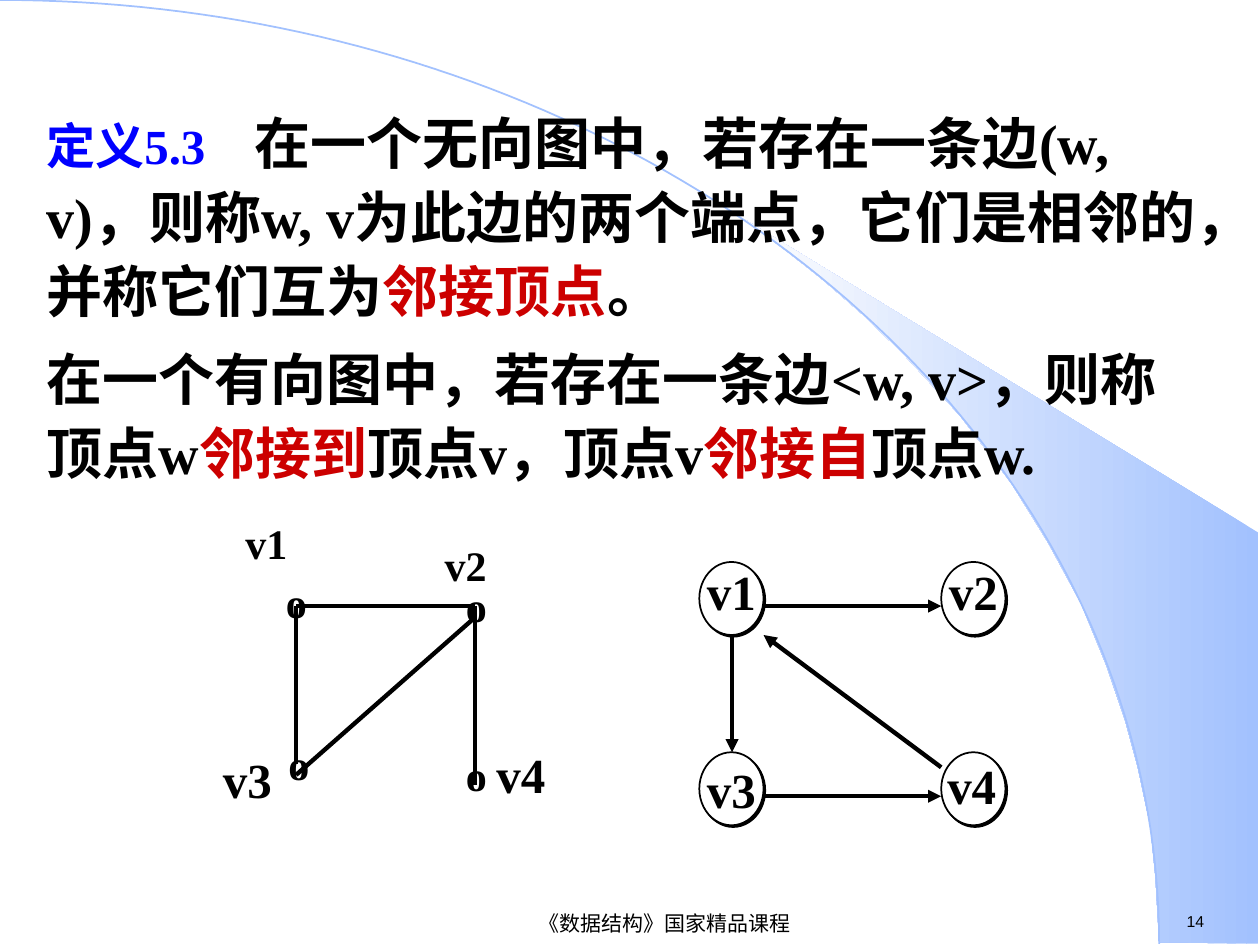
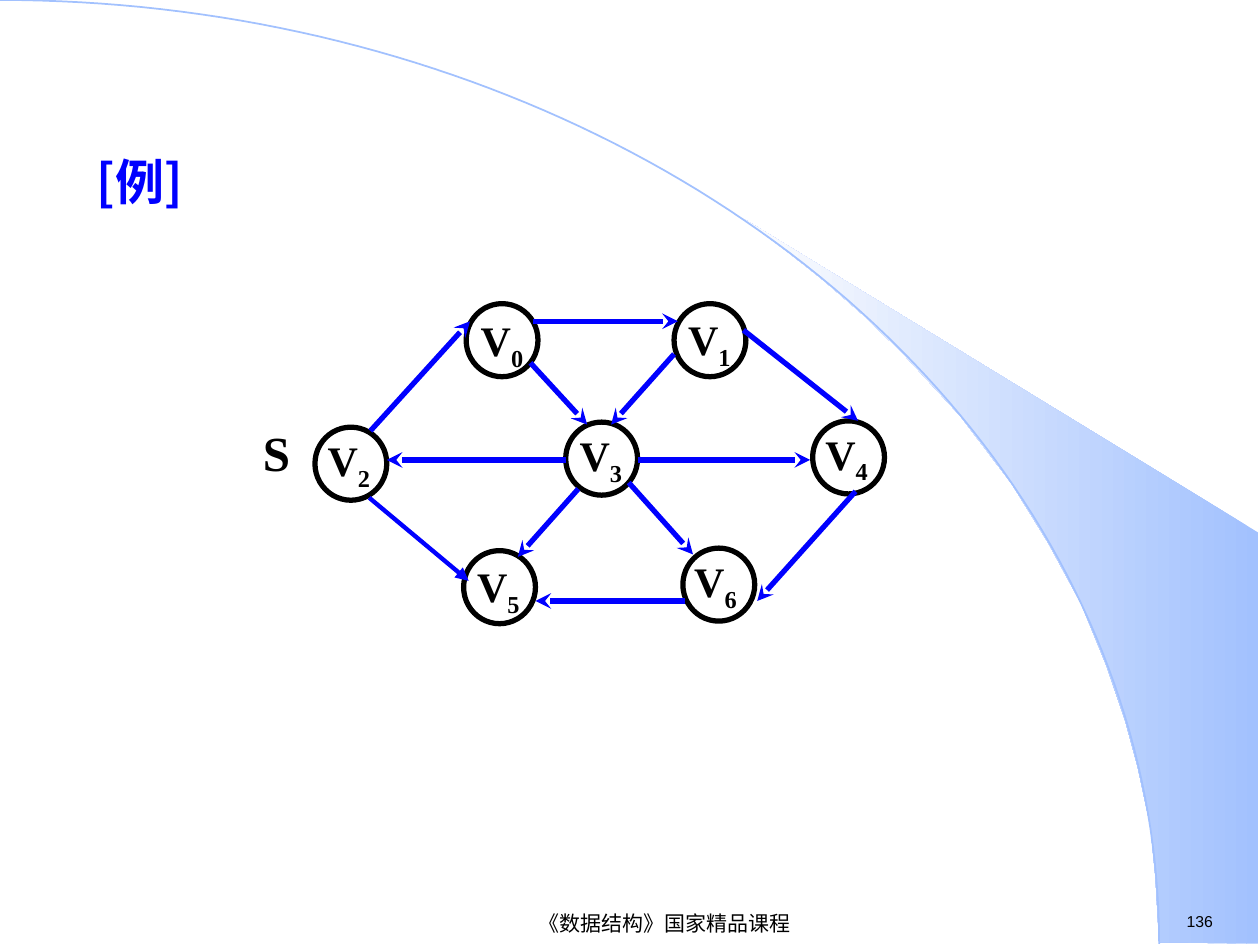
from dataclasses import dataclass
from math import cos, pi, sin

from lxml import etree
from pptx import Presentation
from pptx.dml.color import RGBColor
from pptx.enum.shapes import MSO_CONNECTOR, MSO_SHAPE
from pptx.enum.text import MSO_ANCHOR, PP_ALIGN
from pptx.oxml.ns import qn
from pptx.util import Inches, Pt

OVAL = MSO_SHAPE.OVAL
LINE = MSO_CONNECTOR.STRAIGHT
LEFT, MID, JUST = PP_ALIGN.LEFT, PP_ALIGN.CENTER, PP_ALIGN.JUSTIFY
TOP, CENTER = MSO_ANCHOR.TOP, MSO_ANCHOR.MIDDLE

COLORS = {"black": "000000", "white": "FFFFFF", "blue": "0000FF",
          "red": "CC0000", "sky": "A2C1FE", "pale": "FEFEFE"}
ROMAN, SANS, HAN = "Times New Roman", "Arial", "Noto Sans CJK SC"
PAD = (0.1, 0.05, 0.1, 0.05)
FLAT = (0, 0, 0, 0)
WIDE, HIGH = 10, 7.5
RIM = (9.2, 7.49)  # radii of the background curve
WEDGE = [(9.2, 7.48), (9.99, 7.49), (9.99, 4.23), (5.89, 1.73), (6.24, 1.99),
         (6.53, 2.22), (6.85, 2.5), (7.16, 2.8), (7.62, 3.3), (8.03, 3.84),
         (8.32, 4.31), (8.58, 4.79), (8.78, 5.28), (8.93, 5.72), (9.03, 6.09),
         (9.13, 6.56), (9.17, 6.96)]


@dataclass
class Run:
    text: str
    size: float = 28
    color: str = "black"
    font: str = ROMAN
    bold: bool = True
    base: int = 0


@dataclass
class Label:
    box: tuple
    runs: list
    pad: tuple = FLAT
    align: PP_ALIGN = LEFT
    anchor: MSO_ANCHOR = TOP
    wrap: bool = True


@dataclass
class Edge:
    start: tuple
    end: tuple
    color: str = "black"
    width: float = 2.5
    head: str = ""


@dataclass
class Node:
    ring: tuple
    label: Label


def rgb(name: str) -> RGBColor:
    return RGBColor.from_string(COLORS[name])


def apply(target, values: dict) -> None:
    for key, value in values.items():
        setattr(target, key, value)


def inch(values) -> list:
    return [Inches(v) for v in values]


def add_sub(parent, tag: str, **attrs):
    return etree.SubElement(parent, qn(tag), attrs)


# Text
def add_run(para, item: Run) -> None:
    run = para.add_run()
    run.text = item.text
    apply(run.font, {"name": item.font, "size": Pt(item.size), "bold": item.bold})
    run.font.color.rgb = rgb(item.color)
    props = run._r.get_or_add_rPr()
    add_sub(props, "a:ea", typeface=HAN)
    if item.base:
        props.set("baseline", str(item.base * 1000))


def set_frame(shape, pad: tuple, anchor: MSO_ANCHOR, wrap: bool):
    frame = shape.text_frame
    sides = ("margin_left", "margin_top", "margin_right", "margin_bottom")
    apply(frame, dict(zip(sides, inch(pad))))
    apply(frame, {"vertical_anchor": anchor, "word_wrap": wrap})
    return frame


def write(shape, label: Label) -> None:
    frame = set_frame(shape, label.pad, label.anchor, label.wrap)
    para = frame.paragraphs[0]
    para.alignment = label.align
    for item in label.runs:
        add_run(para, item)


def add_label(slide, label: Label) -> None:
    write(slide.shapes.add_textbox(*inch(label.box)), label)


# Shapes
def add_ring(slide, box: tuple, width: float, fill: str = ""):
    ring = slide.shapes.add_shape(OVAL, *inch(box))
    ring.shadow.inherit = False
    if fill:
        ring.fill.solid()
        ring.fill.fore_color.rgb = rgb(fill)
    else:
        ring.fill.background()
    ring.line.color.rgb = rgb("black")
    ring.line.width = Pt(width)
    return ring


def add_shade(shape) -> None:
    effects = shape._element.spPr.find(qn("a:effectLst"))
    shade = add_sub(effects, "a:outerShdw", dist=str(Pt(1.4)), dir="2700000",
                    algn="ctr", rotWithShape="0")
    add_sub(shade, "a:srgbClr", val=COLORS["black"])


def add_edge(slide, edge: Edge) -> None:
    line = slide.shapes.add_connector(LINE, *inch(edge.start + edge.end))
    line.line.color.rgb = rgb(edge.color)
    line.line.width = Pt(edge.width)
    if edge.head:
        add_sub(line.get_or_add_ln(), "a:tailEnd", type=edge.head)
    add_sub(line._element.spPr, "a:effectLst")


def add_path(slide, points: list, close: bool):
    spots = [tuple(inch(p)) for p in points]
    maker = slide.shapes.build_freeform(*spots[0])
    maker.add_line_segments(spots[1:], close=close)
    path = maker.convert_to_shape()
    path.shadow.inherit = False
    return path


# Shared background, page number and footer
def add_base(deck, page: str):
    slide = deck.slides.add_slide(deck.slide_layouts[6])
    wedge = add_path(slide, WEDGE, True)
    wedge.line.fill.background()
    wedge.fill.gradient()
    wedge.fill.gradient_angle = 180
    for stop, name in zip(wedge.fill.gradient_stops, ("sky", "pale")):
        stop.color.rgb = rgb(name)
    steps = 90
    turns = [i * pi / 2 / steps for i in range(steps + 1)]
    curve = add_path(slide, [(RIM[0] * sin(t), RIM[1] * (1 - cos(t)))
                             for t in turns], False)
    curve.fill.background()
    curve.line.color.rgb = rgb("sky")
    curve.line.width = Pt(1)
    add_label(slide, Label((9.32, 7.19, 0.6, 0.25),
                           [Run(page, 9, font=SANS, bold=False)], PAD))
    add_label(slide, Label((2.4, 7.21, 5.75, 0.24),
                           [Run("《数据结构》国家精品课程", 12, font=SANS, bold=False)],
                           PAD, MID, CENTER))
    return slide


# Slide 1: adjacent vertices
def add_terms(slide) -> None:
    paras = [
        [Run("定义5.3\t", color="blue"),
         Run("在一个无向图中，若存在一条边(w, v)，则称w, v为此边的两个端点，"
             "它们是相邻的，并称它们互为", 32),
         Run("邻接顶点", 32, "red"), Run("。", 32)],
        [Run("在一个有向图中，若存在一条边<w, v>，则称顶点w", 32),
         Run("邻接到", 32, "red"), Run("顶点v，顶点v", 32),
         Run("邻接自", 32, "red"), Run("顶点w.", 32)],
    ]
    body = slide.shapes.add_textbox(*inch((0.27, 0.76, 9.45, 3.35)))
    frame = set_frame(body, PAD, TOP, True)
    for i, runs in enumerate(paras):
        para = frame.add_paragraph() if i else frame.paragraphs[0]
        para.line_spacing = 1.1
        if i:
            para.space_before = Pt(8)
        else:
            tabs = add_sub(para._p.get_or_add_pPr(), "a:tabLst")
            add_sub(tabs, "a:tab", pos=str(Inches(1.65)), algn="l")
        for item in runs:
            add_run(para, item)


def add_plain(slide) -> None:
    for x, y in ((2.17, 4.53), (3.6, 4.56), (3.6, 5.9), (2.19, 5.81)):
        add_label(slide, Label((x, y, 0.36, 0.5), [Run("o", 24)], PAD, wrap=False))
    left, right, top = 2.35, 3.77, 4.81
    for start, end in (((left, top), (right, top)), ((left, top), (left, 6.06)),
                       ((left, 6.15), (right, 4.9)), ((right, top), (right, 6.23))):
        add_edge(slide, Edge(start, end))
    for text, x, y, size, pad in (("v1", 1.85, 4.06, 24, PAD), ("v2", 3.43, 4.23, 24, PAD),
                                  ("v3", 1.77, 5.95, 28, FLAT), ("v4", 3.94, 5.91, 28, FLAT)):
        add_label(slide, Label((x, y, 0.67, 0.5), [Run(text, size)], pad))


def add_direct(slide) -> None:
    wide, high = 0.51, 0.58
    left, right, top, low = 5.55, 7.47, 4.46, 5.97
    rings = {}
    for name, x, y in (("v3", left, low), ("v4", right, low),
                       ("v1", left, top), ("v2", right, top)):
        rings[name] = add_ring(slide, (x, y, wide, high), 1, "white")
        add_shade(rings[name])
    write(rings["v3"], Label((), [Run("v3")], PAD, MID, CENTER, False))
    add_label(slide, Label((7.42, 5.95, 0.64, 0.57), [Run("v4")], PAD))
    for name, x in (("v1", left), ("v2", right)):
        add_label(slide, Label((x, top, wide, 0.47), [Run(name)], align=MID))
    edge, base = left + wide, top + high
    for start, end in (((edge, 4.81), (right, 4.81)), ((5.81, base), (5.81, low)),
                       ((edge, 6.32), (right, 6.32)), ((right, 6.09), (edge, base))):
        add_edge(slide, Edge(start, end, head="triangle"))


# Slide 2: directed example
def make_node(digit: str, ring: tuple, box: tuple, align: PP_ALIGN = JUST,
              pad: tuple = FLAT) -> Node:
    runs = [Run("V", 24), Run(digit, 24, base=-25)]
    return Node(ring + (0.57, 0.58), Label(box, runs, pad, align))


NODES = [
    make_node("0", (3.7, 2.41), (3.6, 2.45, 0.67, 0.56), MID, (0.1, 0.05, 0, 0.05)),
    make_node("1", (5.35, 2.41), (5.38, 2.49, 0.5, 0.5), MID),
    make_node("2", (2.5, 3.39), (2.6, 3.45, 0.63, 0.68)),
    make_node("3", (4.49, 3.35), (4.6, 3.41, 0.54, 0.52)),
    make_node("4", (6.45, 3.34), (6.55, 3.4, 0.53, 0.84)),
    make_node("5", (3.68, 4.37), (3.6, 4.45, 0.71, 0.75), MID),
    make_node("6", (5.42, 4.35), (5.51, 4.41, 0.66, 0.57)),
]
ARROWS = [
    ((2.94, 3.42), (3.73, 2.55)), ((4.23, 2.55), (5.38, 2.55)),
    ((5.9, 2.62), (6.81, 3.34)), ((6.79, 3.9), (6.01, 4.77)),
    ((5.44, 4.77), (4.25, 4.77)), ((4.49, 3.65), (3.07, 3.65)),
    ((5.06, 3.65), (6.43, 3.65)), ((4.21, 2.88), (4.66, 3.37)),
    ((5.35, 2.81), (4.85, 3.37)), ((4.59, 3.88), (4.11, 4.42)),
    ((4.99, 3.83), (5.5, 4.4)),
]


def add_case(slide) -> None:
    add_label(slide, Label((0.67, 1.15, 5.75, 0.66),
                           [Run("[例]", color="blue", font=HAN)], PAD, JUST))
    for node in NODES:
        add_ring(slide, node.ring, 3)
        add_label(slide, node.label)
    add_label(slide, Label((1.93, 3.35, 0.53, 0.87), [Run("S")], align=MID))
    for start, end in ARROWS:
        add_edge(slide, Edge(start, end, "blue", 3, "stealth"))
    add_edge(slide, Edge((2.93, 3.95), (3.72, 4.61), "blue", head="triangle"))


def main() -> None:
    deck = Presentation()
    apply(deck, {"slide_width": Inches(WIDE), "slide_height": Inches(HIGH)})
    first = add_base(deck, "14")
    for draw in (add_terms, add_plain, add_direct):
        draw(first)
    add_case(add_base(deck, "136"))
    deck.save("out.pptx")


if __name__ == "__main__":
    main()
